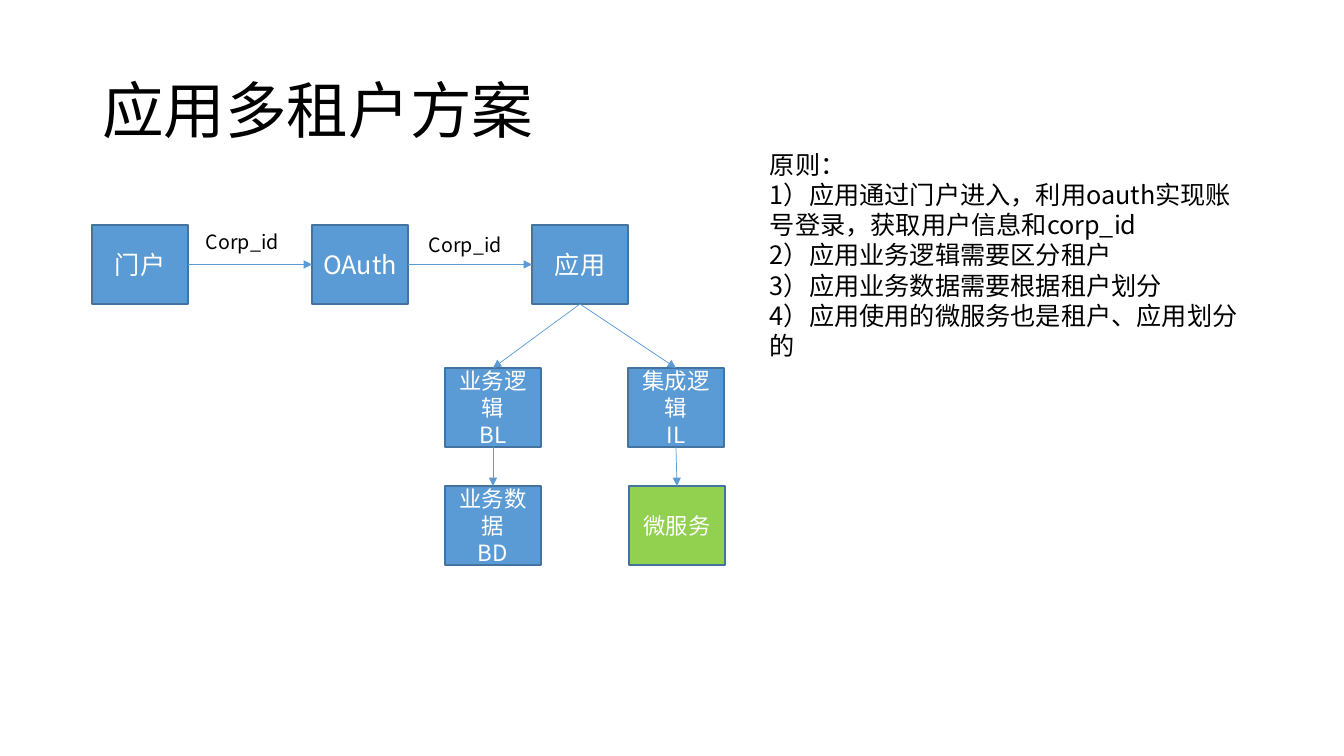
import pptx
import pptx.util
import pptx.dml.color
import pptx.enum.shapes
import pptx.enum.text
import pptx.oxml.ns
import lxml.etree

PX = 914400 / 100.8
FONT = "Noto Sans CJK SC"
BLUE = "5B9BD5"
W, H = 96, 79
ALIGN = pptx.enum.text.PP_ALIGN
ANCHOR = pptx.enum.text.MSO_ANCHOR
qn = pptx.oxml.ns.qn


def rgb(value):
    return pptx.dml.color.RGBColor.from_string(value)


def write(shape, text, size, color, align, anchor):
    tf = shape.text_frame
    tf.word_wrap = True
    tf.vertical_anchor = anchor
    tf.text = text
    for p in tf.paragraphs:
        p.alignment = align
        p.font.name = FONT
        p.font.size = pptx.util.Pt(size)
        p.font.color.rgb = rgb(color)
        ea = lxml.etree.Element(qn("a:ea"), typeface=FONT)
        p.font._element.find(qn("a:latin")).addnext(ea)


prs = pptx.Presentation()
prs.slide_width, prs.slide_height = round(1344 * PX), round(756 * PX)
s = prs.slides.add_slide(prs.slide_layouts[5])

title = s.shapes.title
title.left, title.top, title.width, title.height = [round(v * PX) for v in (92, 41, 1159, 146)]
write(title, "应用多租户方案", 44, "000000", ALIGN.LEFT, ANCHOR.MIDDLE)
title.text_frame.paragraphs[0].line_spacing = 0.9

boxes = {}
for name, x, y, text, size, fill in [
    ("portal", 92, 225, "门户", 18, BLUE),
    ("oauth", 312, 225, "OAuth", 18, BLUE),
    ("app", 532, 225, "应用", 18, BLUE),
    ("logic", 445, 368, "业务逻辑\nBL", 16, BLUE),
    ("integration", 628, 368, "集成逻辑\nIL", 16, BLUE),
    ("data", 445, 486, "业务数据\nBD", 16, BLUE),
    ("microservice", 629, 486, "微服务", 16, "92D050"),
]:
    place = [round(v * PX) for v in (x, y, W, H)]
    sp = s.shapes.add_shape(pptx.enum.shapes.MSO_SHAPE.RECTANGLE, *place)
    sp.shadow.inherit = False
    sp.fill.solid()
    sp.fill.fore_color.rgb = rgb(fill)
    sp.line.color.rgb = rgb("43739E")
    sp.line.width = pptx.util.Pt(0.96)
    write(sp, text, size, "FFFFFF", ALIGN.CENTER, ANCHOR.MIDDLE)
    boxes[name] = sp

TOP, LEFT, BOTTOM, RIGHT = range(4)
for start, start_site, end, end_site in [
    ("portal", RIGHT, "oauth", LEFT),
    ("oauth", RIGHT, "app", LEFT),
    ("app", BOTTOM, "logic", TOP),
    ("app", BOTTOM, "integration", TOP),
    ("logic", BOTTOM, "data", TOP),
    ("integration", BOTTOM, "microservice", TOP),
]:
    a, b = boxes[start], boxes[end]
    arrow = s.shapes.add_connector(
        pptx.enum.shapes.MSO_CONNECTOR.STRAIGHT, a.left, a.top, b.left, b.top)
    arrow.begin_connect(a, start_site)
    arrow.end_connect(b, end_site)
    arrow.line.color.rgb = rgb(BLUE)
    arrow.line.width = pptx.util.Pt(0.5)
    lxml.etree.SubElement(arrow.line._get_or_add_ln(), qn("a:tailEnd"), type="triangle")
    lxml.etree.SubElement(arrow._element.spPr, qn("a:effectLst"))

principles = "\n".join([
    "原则：",
    "1）应用通过门户进入，利用oauth实现账号登录，获取用户信息和corp_id",
    "2）应用业务逻辑需要区分租户",
    "3）应用业务数据需要根据租户划分",
    "4）应用使用的微服务也是租户、应用划分的",
])
for box, text, size in [
    ((196, 225, 93, 34), "Corp_id", 14),
    ((419, 228, 93, 34), "Corp_id", 14),
    ((760, 144, 492, 224), principles, 18),
]:
    sp = s.shapes.add_textbox(*[round(v * PX) for v in box])
    write(sp, text, size, "000000", ALIGN.LEFT, ANCHOR.TOP)

prs.save("out.pptx")
